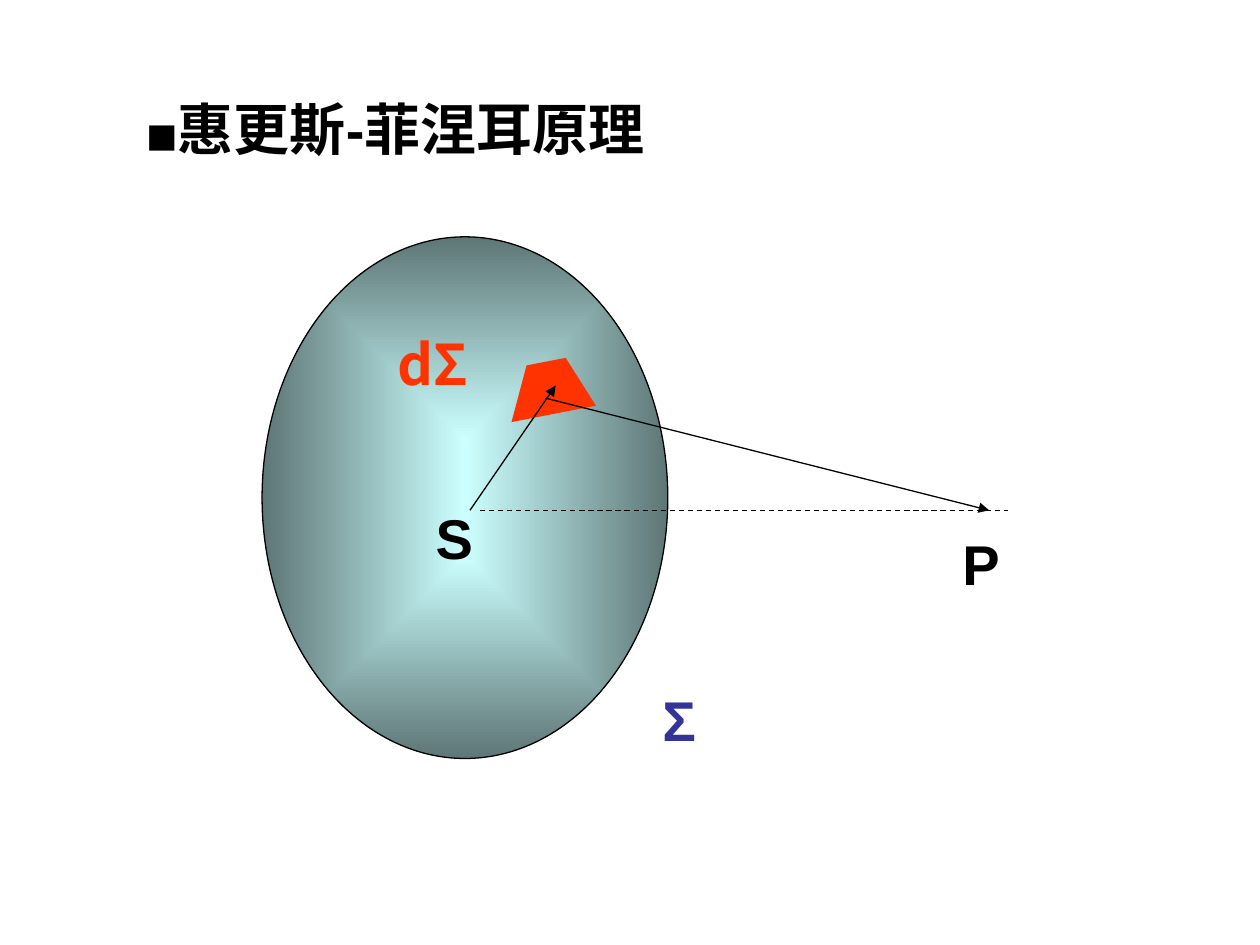
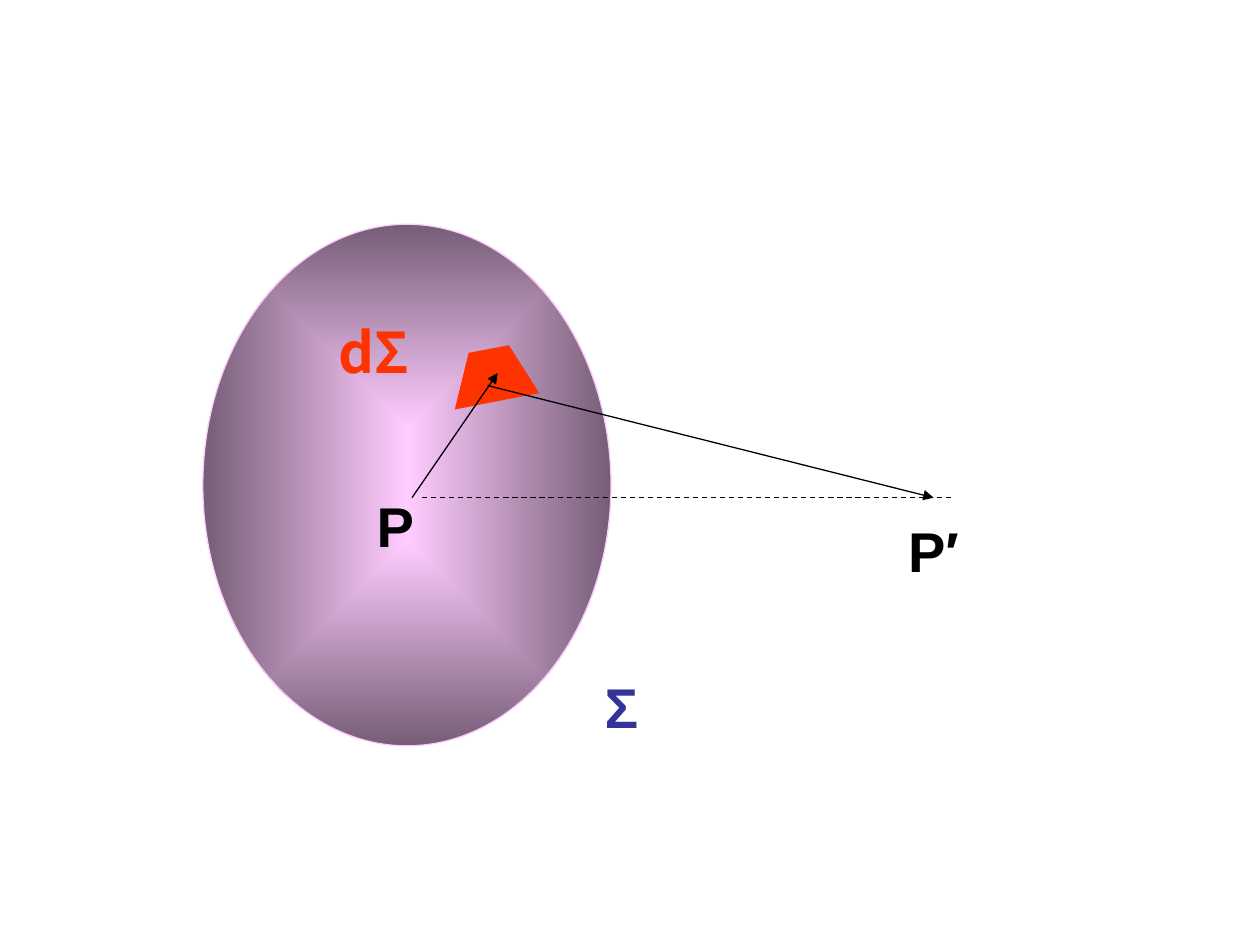
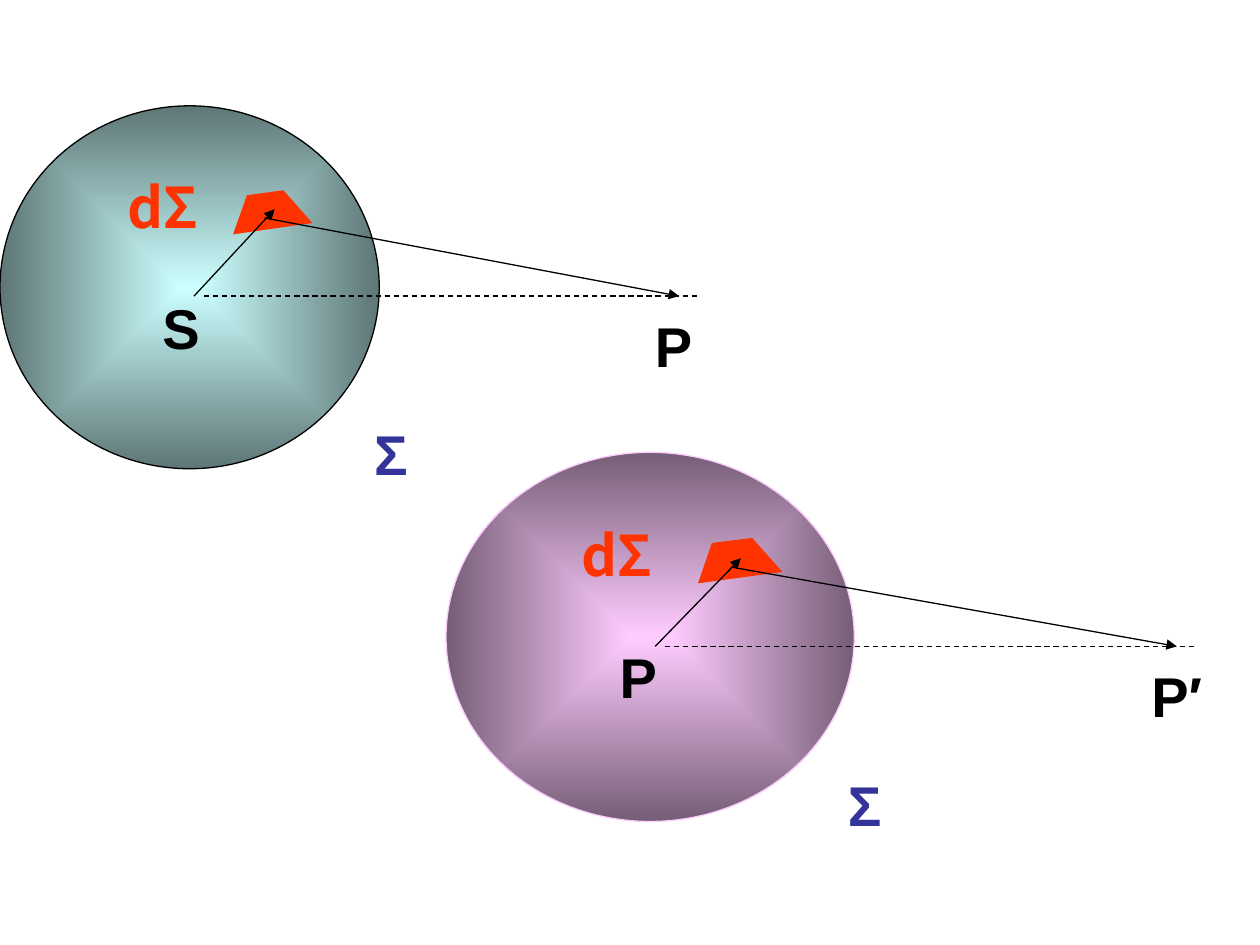
from dataclasses import dataclass

from lxml import etree
from pptx import Presentation
from pptx.dml.color import RGBColor
from pptx.enum.dml import MSO_LINE
from pptx.enum.shapes import MSO_CONNECTOR, MSO_SHAPE
from pptx.enum.text import MSO_ANCHOR, MSO_AUTO_SIZE, PP_ALIGN
from pptx.oxml.ns import qn
from pptx.util import Emu, Pt

PX = 9144
UNIT = 1000
BLACK = RGBColor(0x00, 0x00, 0x00)
RED = RGBColor(0xFF, 0x33, 0x00)
NAVY = RGBColor(0x33, 0x33, 0x99)
CYAN = RGBColor(0xCC, 0xFF, 0xFF)
TEAL = RGBColor(0x5E, 0x76, 0x76)
PINK = RGBColor(0xFF, 0xCC, 0xFF)
PLUM = RGBColor(0x76, 0x5E, 0x76)
LATIN = "Arial"
HAN = "Noto Sans CJK SC"
BIG = 32
THIN = Pt(0.75)
LABEL_HIGH = 63
OVAL = MSO_SHAPE.OVAL
STRAIGHT = MSO_CONNECTOR.STRAIGHT
DASH = MSO_LINE.DASH
MIDDLE = MSO_ANCHOR.MIDDLE
GROW = MSO_AUTO_SIZE.SHAPE_TO_FIT_TEXT
LEFT = PP_ALIGN.LEFT


@dataclass(frozen=True)
class Tint:
    core: RGBColor
    rim: RGBColor
    line: RGBColor


@dataclass(frozen=True)
class Wave:
    left: int
    top: int
    wide: int
    high: int
    tint: Tint
    source: str
    target: str
    target_wide: int
    sigma_wide: int

    def at(self, x: int, y: int) -> tuple[Emu, Emu]:
        return (
            px(self.left + round(self.wide * x / UNIT)),
            px(self.top + round(self.high * y / UNIT)),
        )


@dataclass(frozen=True)
class Label:
    text: str
    x: int
    y: int
    wide: int
    color: RGBColor = BLACK
    font: str = LATIN
    wrap: bool = True


@dataclass(frozen=True)
class Ray:
    start: tuple[int, int]
    end: tuple[int, int]
    dashed: bool = False


AQUA = Tint(CYAN, TEAL, BLACK)
ROSE = Tint(PINK, PLUM, PINK)
PATCH = ((616, 355), (652, 246), (749, 231), (823, 323))
RAYS = (
    Ray((512, 524), (723, 285)),
    Ray((537, 524), (1837, 524), True),
    Ray((699, 309), (1791, 524)),
)
PAGES = (
    (Wave(208, 188, 322, 414, AQUA, "S", "P", 60, 36),),
    (Wave(161, 178, 324, 414, ROSE, "P", "P′", 97, 50),),
    (
        Wave(0, 84, 301, 288, AQUA, "S", "P", 56, 65),
        Wave(354, 359, 324, 293, ROSE, "P", "P′", 97, 65),
    ),
)


def px(count: int) -> Emu:
    return Emu(count * PX)


def add_run(para, text: str, size: int, color: RGBColor, font: str):
    run = para.add_run()
    run.text = text
    run.font.size = Pt(size)
    run.font.bold = True
    run.font.color.rgb = color
    run.font.name = font
    return run


def add_title(slide) -> None:
    title = slide.shapes.title
    title.left, title.top, title.width, title.height = map(px, (106, 70, 457, 63))
    frame = title.text_frame
    frame.word_wrap = True
    frame.auto_size = GROW
    frame.vertical_anchor = MIDDLE
    para = frame.paragraphs[0]
    para.alignment = LEFT
    for text, size in (("■", 18), ("惠更斯-菲涅耳原理", BIG)):
        run = add_run(para, text, size, BLACK, LATIN)
        face = etree.SubElement(run.font._element, qn("a:ea"))
        face.set("typeface", HAN)


def add_front(shapes, wave: Wave) -> None:
    oval = shapes.add_shape(OVAL, *wave.at(0, 0), px(wave.wide), px(wave.high))
    oval.shadow.inherit = False
    oval.line.color.rgb = wave.tint.line
    oval.line.width = THIN
    oval.fill.gradient()
    for stop, color in zip(oval.fill.gradient_stops, (wave.tint.core, wave.tint.rim)):
        stop.color.rgb = color
    grad = oval._element.spPr.find(qn("a:gradFill"))
    grad.remove(grad.find(qn("a:lin")))
    fade = etree.SubElement(grad, qn("a:path"))
    fade.set("path", "shape")
    rect = etree.SubElement(fade, qn("a:fillToRect"))
    for side in "ltrb":
        rect.set(side, "50000")


def add_patch(shapes, wave: Wave) -> None:
    first, *rest = [wave.at(x, y) for x, y in PATCH]
    pen = shapes.build_freeform(*first)
    pen.add_line_segments(rest, close=True)
    patch = pen.convert_to_shape()
    patch.shadow.inherit = False
    patch.fill.solid()
    patch.fill.fore_color.rgb = RED
    patch.line.fill.background()


def add_ray(shapes, wave: Wave, ray: Ray) -> None:
    link = shapes.add_connector(STRAIGHT, *wave.at(*ray.start), *wave.at(*ray.end))
    link.line.color.rgb = BLACK
    link.line.width = THIN
    if ray.dashed:
        link.line.dash_style = DASH
    else:
        tip = etree.SubElement(link.line._get_or_add_ln(), qn("a:tailEnd"))
        tip.set("type", "triangle")
    etree.SubElement(link._element.spPr, qn("a:effectLst"))


def add_label(shapes, wave: Wave, label: Label) -> None:
    place = wave.at(label.x, label.y)
    box = shapes.add_textbox(*place, px(label.wide), px(LABEL_HIGH))
    frame = box.text_frame
    frame.word_wrap = label.wrap
    frame.auto_size = GROW
    add_run(frame.paragraphs[0], label.text, BIG, label.color, label.font)


def add_wave(slide, wave: Wave) -> None:
    shapes = slide.shapes.add_group_shape().shapes
    add_front(shapes, wave)
    add_patch(shapes, wave)
    for ray in RAYS:
        add_ray(shapes, wave, ray)
    labels = (
        Label("dΣ", 303, 167, round(wave.wide * 0.33), RED, HAN),
        Label("Σ", 955, 847, wave.sigma_wide, NAVY, wrap=False),
        Label(wave.source, 396, 499, round(wave.wide * 0.19)),
        Label(wave.target, 1696, 548, wave.target_wide),
    )
    for label in labels:
        add_label(shapes, wave, label)


def main() -> None:
    deck = Presentation()
    deck.slide_width, deck.slide_height = px(1000), px(750)
    titled = deck.slide_layouts.get_by_name("Title Only")
    blank = deck.slide_layouts.get_by_name("Blank")
    for index, waves in enumerate(PAGES):
        slide = deck.slides.add_slide(blank if index else titled)
        for wave in waves:
            add_wave(slide, wave)
        if not index:
            add_title(slide)
    deck.save("out.pptx")


if __name__ == "__main__":
    main()
